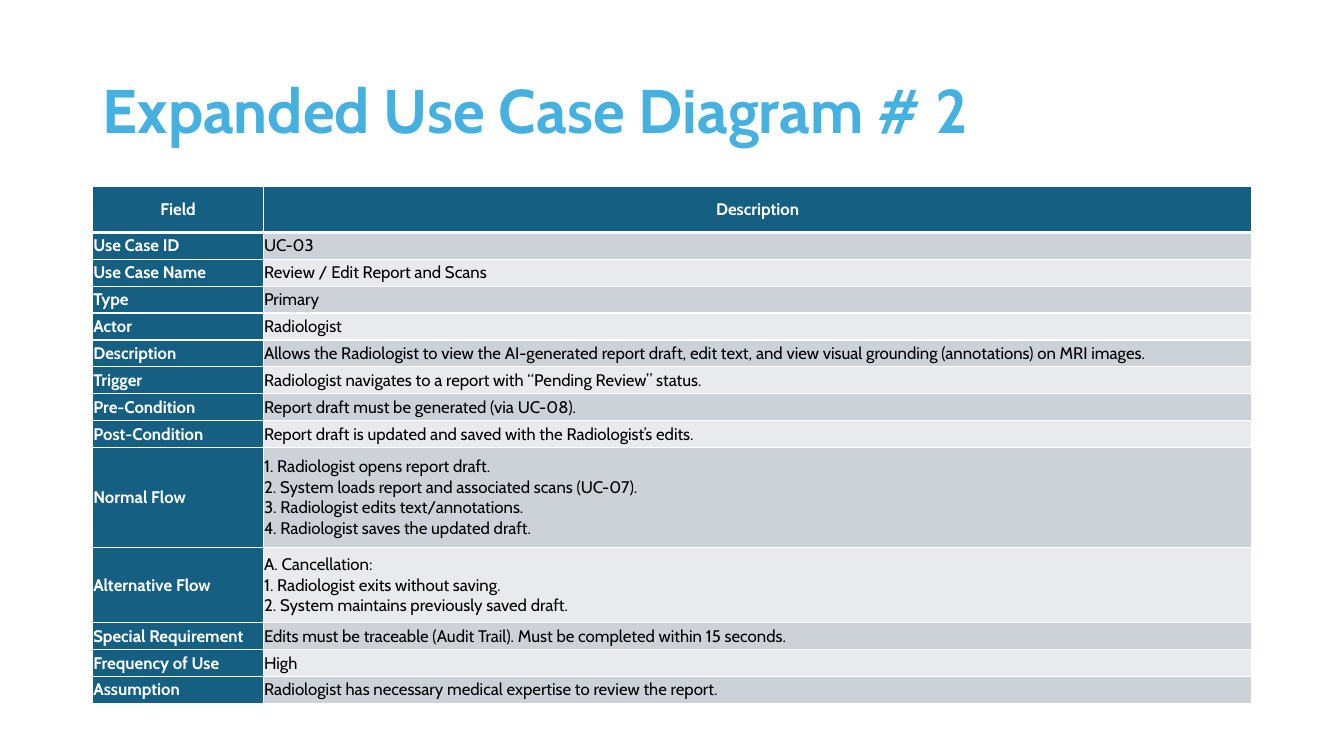
"""Build the slide with the expanded use case table for report review."""
from lxml.etree import SubElement
from pptx import Presentation
from pptx.dml.color import RGBColor as Rgb
from pptx.enum.text import MSO_ANCHOR as Anchor, MSO_AUTO_SIZE as AutoSize, PP_ALIGN as Align
from pptx.oxml.ns import qn
from pptx.util import Emu, Pt

EMU_PER_PX = 6096
COLORS = {
    "title": "46B1E1",
    "heading": "156082",
    "odd": "CCD2D8",
    "even": "E8EAED",
    "white": "FFFFFF",
    "black": "000000",
}
FONT = "Cabin"
COLUMN_WIDTHS = (254, 1471)
HEADER_HEIGHT = 68
ROW_HEIGHTS = {1: 40, 3: 112, 4: 149}
CELL_FORMAT = {
    "vertical_anchor": Anchor.MIDDLE,
    "margin_left": Emu(EMU_PER_PX),
    "margin_top": Emu(EMU_PER_PX),
    "margin_right": Emu(EMU_PER_PX),
    "margin_bottom": Emu(EMU_PER_PX),
}
USE_CASE = [
    ("Field", "Description"),
    ("Use Case ID", "UC-03"),
    ("Use Case Name", "Review / Edit Report and Scans"),
    ("Type", "Primary"),
    ("Actor", "Radiologist"),
    ("Description", "Allows the Radiologist to view the AI-generated report draft, edit text, "
                    "and view visual grounding (annotations) on MRI images."),
    ("Trigger", "Radiologist navigates to a report with “Pending Review” status."),
    ("Pre-Condition", "Report draft must be generated (via UC-08)."),
    ("Post-Condition", "Report draft is updated and saved with the Radiologist’s edits."),
    ("Normal Flow", "1. Radiologist opens report draft.\n"
                    "2. System loads report and associated scans (UC-07).\n"
                    "3. Radiologist edits text/annotations.\n"
                    "4. Radiologist saves the updated draft."),
    ("Alternative Flow", "A. Cancellation:\n"
                         "1. Radiologist exits without saving.\n"
                         "2. System maintains previously saved draft."),
    ("Special Requirement", "Edits must be traceable (Audit Trail). "
                            "Must be completed within 15 seconds."),
    ("Frequency of Use", "High"),
    ("Assumption", "Radiologist has necessary medical expertise to review the report."),
]


def px(length):
    """Turn pixels into EMU."""
    return Emu(length * EMU_PER_PX)


def apply_format(target, values):
    """Set every attribute named in values on target."""
    for name, value in values.items():
        setattr(target, name, value)


def write_paragraph(paragraph, wording, size, color, bold, align):
    """Fill a paragraph with formatted wording."""
    paragraph.text = wording
    paragraph.alignment = align
    for run in paragraph.runs:
        apply_format(run.font, {"name": FONT, "size": Pt(size), "bold": bold})
        run.font.color.rgb = Rgb.from_string(COLORS[color])


def add_borders(cell, bottom_width):
    """Draw white borders around a cell."""
    properties = cell._tc.get_or_add_tcPr()
    widths = {"a:lnL": 1, "a:lnR": 1, "a:lnT": 1, "a:lnB": bottom_width}
    for position, (side, width) in enumerate(widths.items()):
        border = properties.makeelement(qn(side), {"w": str(Pt(width))})
        fill = SubElement(border, qn("a:solidFill"))
        SubElement(fill, qn("a:srgbClr"), val=COLORS["white"])
        properties.insert(position, border)


def add_title(slide, wording):
    """Place the slide title."""
    title = slide.shapes.title
    apply_format(title, {"left": px(138), "top": px(60), "width": px(1725), "height": px(218)})
    apply_format(title.text_frame, {"vertical_anchor": Anchor.MIDDLE, "word_wrap": True,
                                    "auto_size": AutoSize.NONE})
    heading = title.text_frame.paragraphs[0]
    write_paragraph(heading, wording, 44, "title", True, Align.LEFT)
    heading.line_spacing = 0.9


def fill_cell(cell, wording, row, column):
    """Write one table cell and style it by its position."""
    is_heading = row == 0 or column == 0
    band = "odd" if row % 2 else "even"
    apply_format(cell, CELL_FORMAT)
    cell.fill.solid()
    cell.fill.fore_color.rgb = Rgb.from_string(COLORS["heading" if is_heading else band])
    write_paragraph(cell.text_frame.paragraphs[0], wording, 12,
                    "white" if is_heading else "black", is_heading,
                    Align.LEFT if row else Align.CENTER)
    add_borders(cell, 1 if row else 3)


def add_use_case_table(slide, entries):
    """Add the table of use case fields and descriptions."""
    heights = [HEADER_HEIGHT] + [ROW_HEIGHTS[text.count("\n") + 1] for _, text in entries[1:]]
    table = slide.shapes.add_table(len(entries), len(COLUMN_WIDTHS), px(138), px(278),
                                   px(sum(COLUMN_WIDTHS)), px(sum(heights))).table
    for column, width in zip(table.columns, COLUMN_WIDTHS):
        column.width = px(width)
    for row, (entry, height) in enumerate(zip(entries, heights)):
        table.rows[row].height = px(height)
        for column, wording in enumerate(entry):
            fill_cell(table.cell(row, column), wording, row, column)


def main():
    """Create and save the presentation."""
    deck = Presentation()
    apply_format(deck, {"slide_width": px(2000), "slide_height": px(1125)})
    slide = deck.slides.add_slide(deck.slide_layouts[5])
    add_title(slide, "Expanded Use Case Diagram # 2")
    add_use_case_table(slide, USE_CASE)
    deck.save("out.pptx")


if __name__ == "__main__":
    main()
